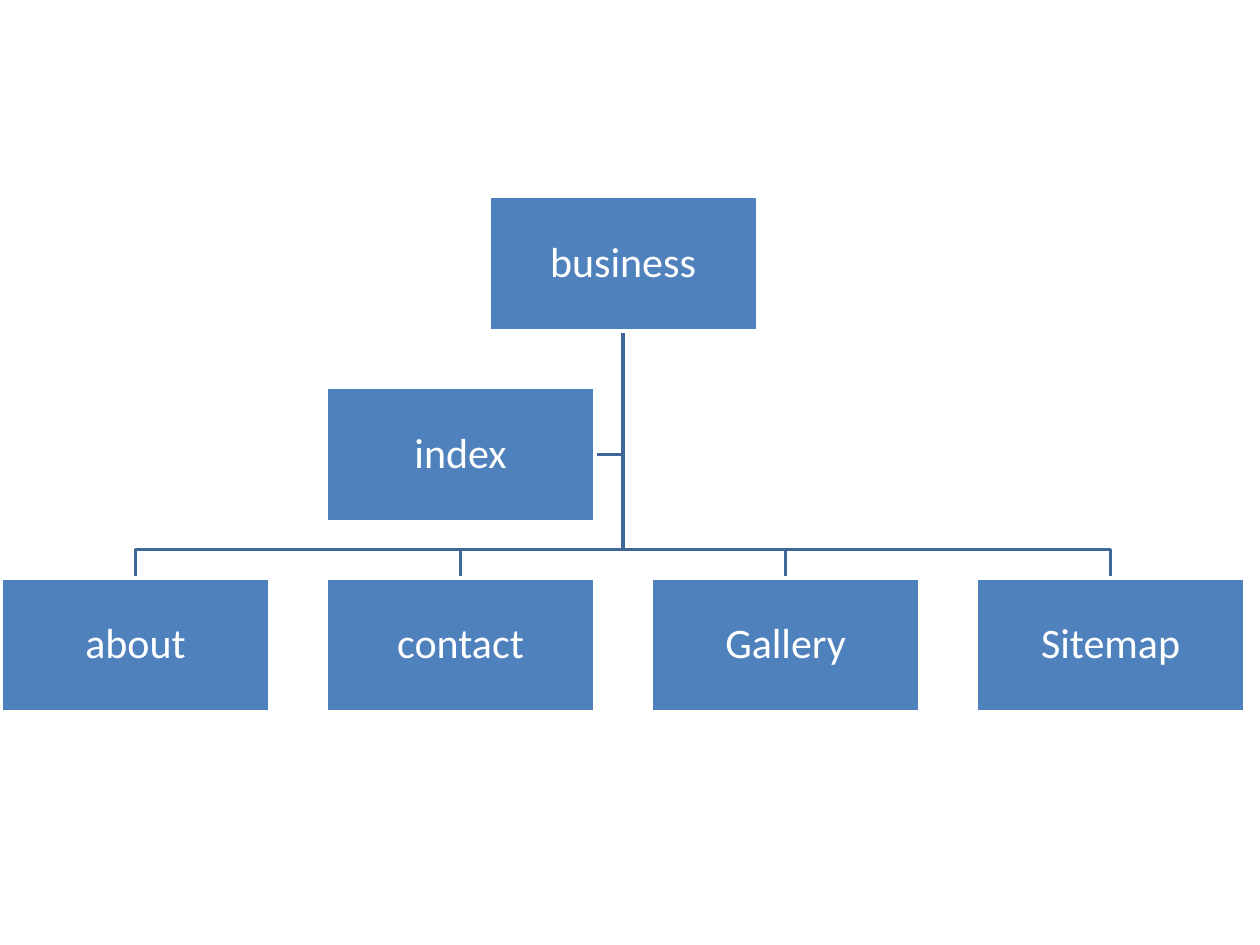
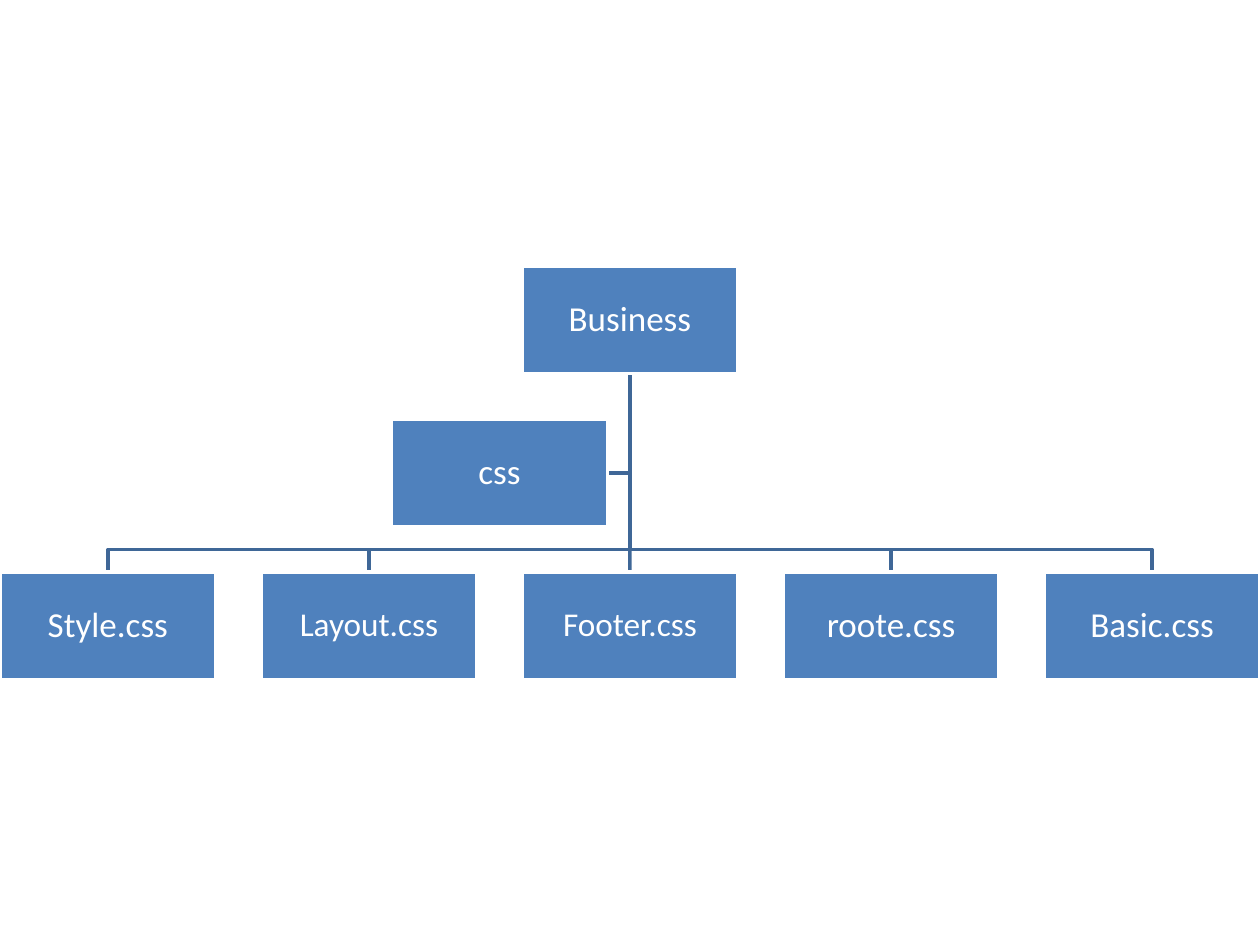
import pptx
import pptx.util
import pptx.dml.color
import pptx.enum.shapes
import pptx.enum.text
import pptx.oxml
from pptx.util import Inches

COLORS = {"box": "4F81BD", "edge": "FFFFFF", "text": "FFFFFF", "link": "3F6797"}
FONT = "Calibri"
LINE_WIDTH = 2
GAP_RATIO = 0.21

CHARTS = [
    {"left": 0.01, "top": 1.56, "width": 9.87, "size": 24, "inset": 0.02,
     "root": "business", "assistant": "index",
     "children": ["about", "contact", "Gallery", "Sitemap"], "small": {}},
    {"left": 0, "top": 2.11, "width": 10, "size": 20, "inset": 0.01,
     "root": "Business", "assistant": "css",
     "children": ["Style.css", "Layout.css", "Footer.css", "roote.css", "Basic.css"],
     "small": {"Layout.css": 19, "Footer.css": 19}},
]


def rgb(name):
    return pptx.dml.color.RGBColor.from_string(COLORS[name])


def set_line(sp, color):
    sp.line.color.rgb = rgb(color)
    sp.line.width = pptx.util.Pt(LINE_WIDTH)


def write(sp, text, *, size, inset, color="text"):
    tf = sp.text_frame
    tf.word_wrap = True
    tf.vertical_anchor = pptx.enum.text.MSO_ANCHOR.MIDDLE
    tf.margin_left = tf.margin_right = tf.margin_top = tf.margin_bottom = Inches(inset)
    p = tf.paragraphs[0]
    p.alignment = pptx.enum.text.PP_ALIGN.CENTER
    p.line_spacing = 0.9
    r = p.add_run()
    r.text = text
    r.font.name = FONT
    r.font.size = pptx.util.Pt(size)
    r.font.color.rgb = rgb(color)


def add_box(s, text, x, y, w, h, **style):
    sp = s.shapes.add_shape(pptx.enum.shapes.MSO_SHAPE.RECTANGLE,
                            Inches(x), Inches(y), Inches(w), Inches(h))
    sp.shadow.inherit = False
    sp.fill.solid()
    sp.fill.fore_color.rgb = rgb("box")
    set_line(sp, "edge")
    write(sp, text, **style)


def add_link(s, points):
    pts = [(Inches(x), Inches(y)) for x, y in points]
    if len(pts) == 2:
        sp = s.shapes.add_connector(pptx.enum.shapes.MSO_CONNECTOR.STRAIGHT, *pts[0], *pts[1])
        sp.element.spPr.append(pptx.oxml.parse_xml(
            '<a:effectLst xmlns:a="http://schemas.openxmlformats.org/drawingml/2006/main"/>'))
    else:
        fb = s.shapes.build_freeform(*pts[0])
        fb.add_line_segments(pts[1:], close=False)
        sp = fb.convert_to_shape()
        sp.shadow.inherit = False
        sp.fill.background()
    set_line(sp, "link")


def draw_chart(s, c):
    n = len(c["children"])
    w = c["width"] / (n + GAP_RATIO * (n - 1))
    h = w / 2
    gap = GAP_RATIO * w
    axis = c["left"] + c["width"] / 2
    root_y, mid_y, child_y = [c["top"] + i * (h + gap) for i in range(3)]
    start = (axis, root_y + h)
    bus_y = child_y - gap / 2
    side_x = axis - gap / 2
    lefts = [c["left"] + i * (w + gap) for i in range(n)]

    add_link(s, [start, (axis, mid_y + h / 2), (side_x, mid_y + h / 2)])
    for left in reversed(lefts):
        x = left + w / 2
        bend = [] if abs(x - axis) < 0.01 else [(axis, bus_y), (x, bus_y)]
        add_link(s, [start, *bend, (x, child_y)])

    boxes = [(c["root"], axis - w / 2, root_y)]
    boxes += [(name, x, child_y) for name, x in zip(c["children"], lefts)]
    boxes.append((c["assistant"], side_x - w, mid_y))
    for name, x, y in boxes:
        add_box(s, name, x, y, w, h, size=c["small"].get(name, c["size"]), inset=c["inset"])


prs = pptx.Presentation()
prs.slide_width, prs.slide_height = Inches(10), Inches(7.5)
for chart in CHARTS:
    draw_chart(prs.slides.add_slide(prs.slide_layouts[6]), chart)
prs.save("out.pptx")
